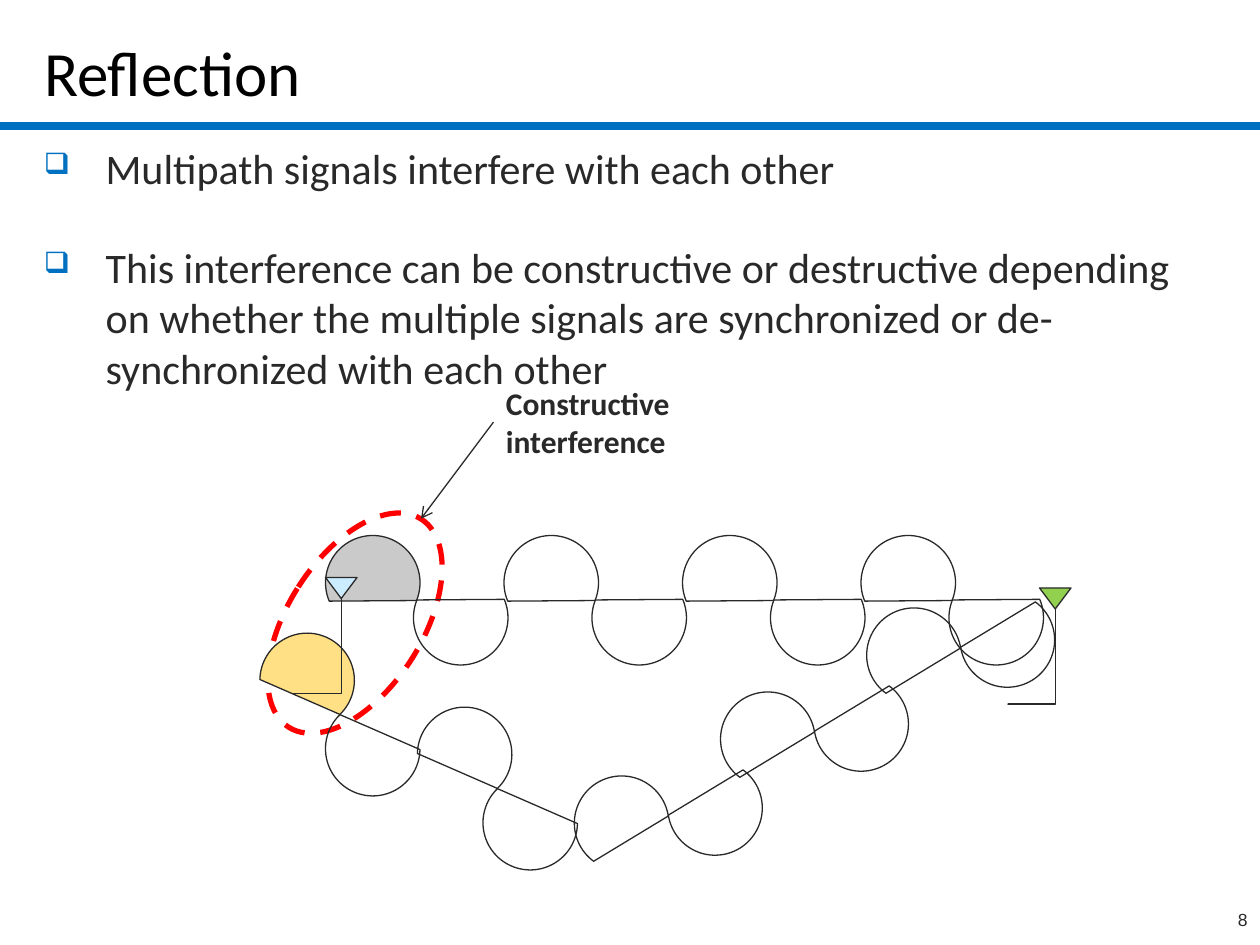
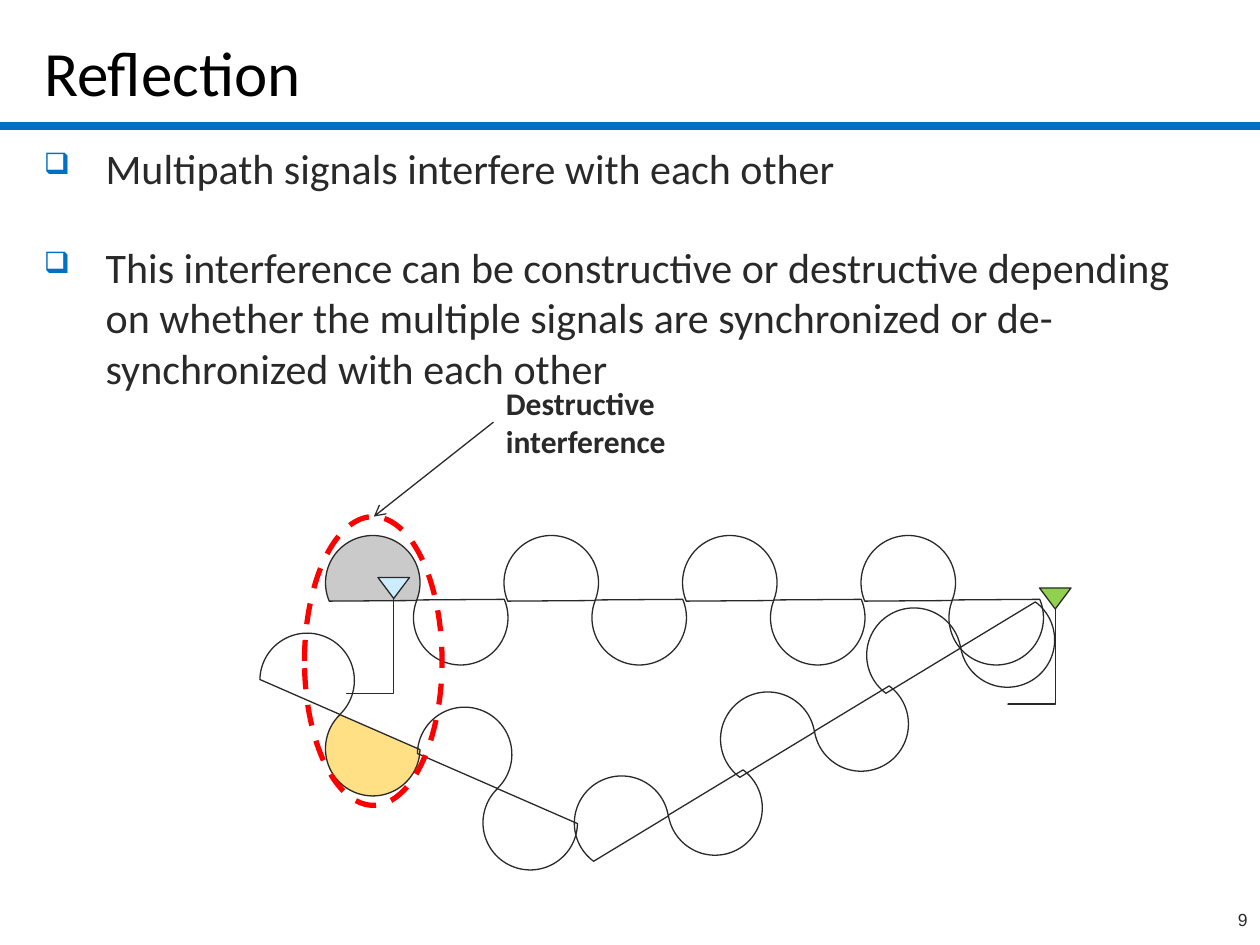
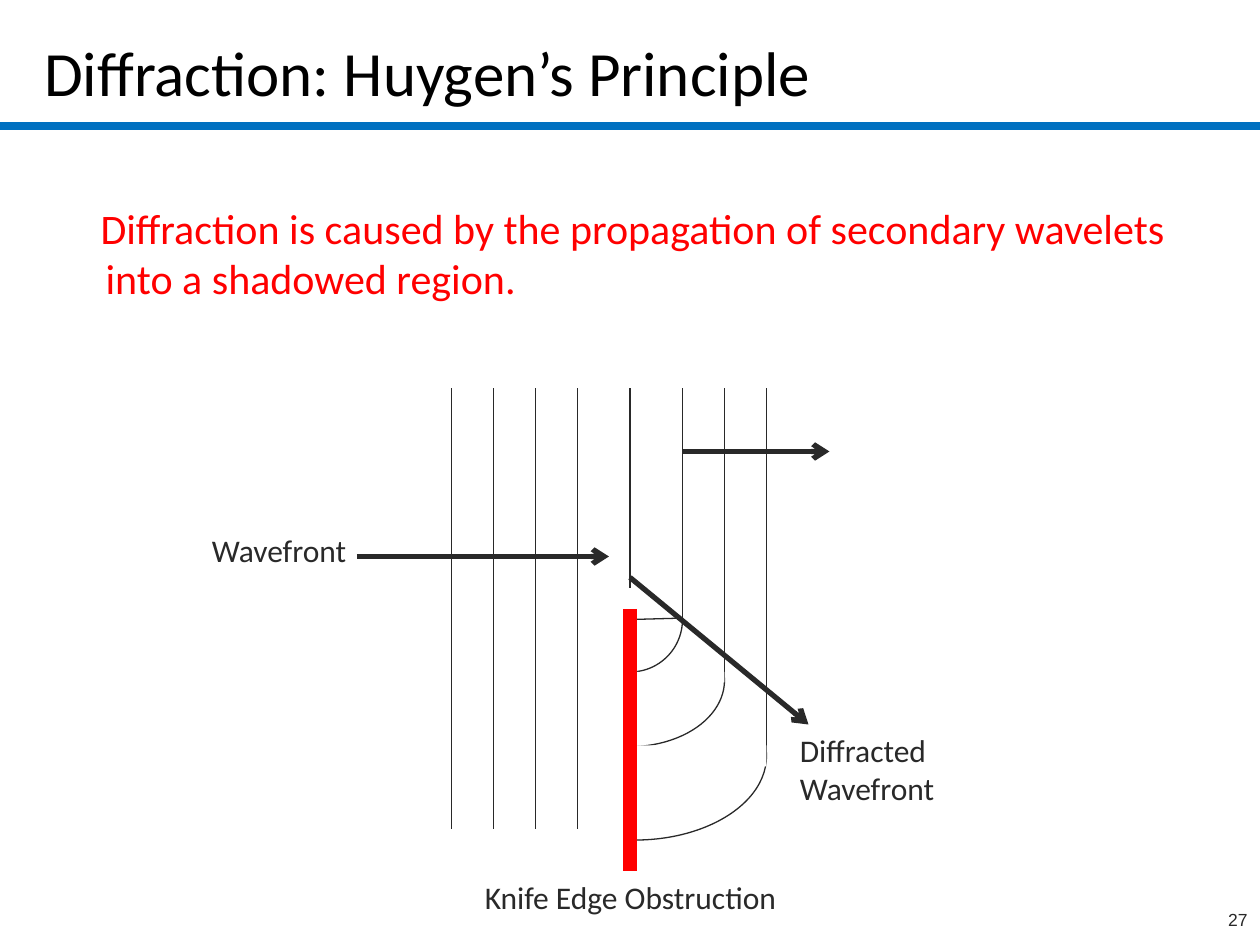
from lxml import etree
from pptx import Presentation
from pptx import util as u
from pptx.dml.color import RGBColor
from pptx.enum import dml, shapes, text
from pptx.oxml import ns

HUES = {
    "ink": "292929", "black": "000000", "blue": "0070C0", "red": "FF0000",
    "white": "FFFFFF", "gray": "CACACA", "gold": "FFE085",
    "sky": "CCECFF", "green": "92D050",
}
COLS, ROWS = 120, 90
CELL = u.Inches(10) / COLS
KIND = shapes.MSO_SHAPE
LINK = shapes.MSO_CONNECTOR

FONTS = {
    "title": {"name": "Calibri", "size": u.Pt(36), "bold": False},
    "body": {"name": "Calibri", "size": u.Pt(24)},
    "note": {"name": "Calibri", "size": u.Pt(18)},
    "bold": {"name": "Calibri", "size": u.Pt(18), "bold": True},
    "page": {"name": "Arial", "size": u.Pt(10)},
}
POINTS = [
    "Multipath signals interfere with each other",
    "This interference can be constructive or destructive depending on whether "
    "the multiple signals are synchronized or de-synchronized with each other",
]
WAVES = {
    "direct": {"spot": (31, 51), "step": (17, 0), "shift": (8.38, 3.33),
               "count": 4, "turn": 112.1},
    "down": {"spot": (24.75, 60.3), "step": (15, 7.05), "shift": (6.25, 6.5),
             "count": 2, "turn": 136.1},
    "up": {"spot": (54.7, 73.9), "step": (13.92, -8), "shift": (8.9, -1.45),
           "count": 3, "turn": 81.3},
}


def grid(*cells):
    return [u.Emu(round(c * CELL)) for c in cells]


def tint(hue):
    return RGBColor.from_string(HUES[hue])


def style(obj, form):
    for key, value in form.items():
        setattr(obj, key, value)


def add(node, tag, **atts):
    return etree.SubElement(node, ns.qn(tag), atts)


def stroke(line, hue="ink", width=0.75):
    line.color.rgb = tint(hue)
    line.width = u.Pt(width)


def write(frame, lines, font, hue="ink", **form):
    frame.word_wrap = True
    for i, line in enumerate(lines):
        para = frame.paragraphs[0] if i == 0 else frame.add_paragraph()
        style(para, form)
        run = para.add_run()
        run.text = line
        style(run.font, FONTS[font])
        run.font.color.rgb = tint(hue)
    return frame.paragraphs


def label(slide, box, lines, font="note", hue="ink", **form):
    frame = slide.shapes.add_textbox(*grid(*box)).text_frame
    return write(frame, lines, font, hue, **form)


def indent(para, first):
    prop = para._p.get_or_add_pPr()
    prop.set("marL", str(u.Inches(0.49)))
    prop.set("indent", str(u.Inches(first)))
    return prop


def bullet(para):
    prop = indent(para, -0.49)
    add(add(prop, "a:buClr"), "a:srgbClr", val=HUES["blue"])
    add(prop, "a:buSzPct", val="70000")
    add(prop, "a:buChar", char="❑")


def draw(slide, kind, box, fill=None, line="ink", width=0.75, turn=0):
    shape = slide.shapes.add_shape(kind, *grid(*box))
    shape.shadow.inherit = False
    shape.rotation = turn
    if fill:
        shape.fill.solid()
        shape.fill.fore_color.rgb = tint(fill)
    else:
        shape.fill.background()
    if line:
        stroke(shape.line, line, width)
    else:
        shape.line.fill.background()
    return shape


def link(slide, start, end, hue="ink", width=0.75, arrow=False, kind=LINK.STRAIGHT):
    wire = slide.shapes.add_connector(kind, *grid(*start, *end))
    stroke(wire.line, hue, width)
    if arrow:
        add(wire.line._ln, "a:tailEnd", type="arrow")
    add(wire._element.spPr, "a:effectLst")
    return wire


def base(deck, title, page):
    slide = deck.slides.add_slide(deck.slide_layouts[5])
    link(slide, (0, 12), (COLS, 12), "blue", 5)
    head = slide.shapes.title
    style(head, dict(zip(("left", "top", "width", "height"),
                         grid(3, 1.3, COLS - 6, 9.7))))
    head.text_frame.vertical_anchor = text.MSO_ANCHOR.BOTTOM
    write(head.text_frame, [title], "title", "black", alignment=text.PP_ALIGN.LEFT)
    label(slide, (95, ROWS - 4, 25, 4), [str(page)], "page",
          alignment=text.PP_ALIGN.RIGHT)
    return slide


def wave(slide, spot, step, shift, count, turn, fills=()):
    for i in range(count):
        x, y = (s + i * d for s, d in zip(spot, step))
        for half in range(2):
            box = (x + half * shift[0], y + half * shift[1], 9, 9)
            fill = fills[half] if fills and i == 0 else None
            draw(slide, KIND.CHORD, box, fill, turn=turn + 180 * half)


def mast(slide, x, y, fill):
    draw(slide, KIND.FLOWCHART_MERGE, (x, y, 3, 2), fill)
    long, wide = 9, 4.5
    left = x + 1.5 - wide / 2 - long / 2
    top = y + 2 + long / 2 - wide / 2
    wire = link(slide, (left, top), (left + long, top + wide), kind=LINK.ELBOW)
    spec = wire._element.spPr
    spec.find(ns.qn("a:xfrm")).set("rot", "5400000")
    geom = spec.find(ns.qn("a:prstGeom"))
    guides = geom.find(ns.qn("a:avLst"))
    if guides is None:
        guides = add(geom, "a:avLst")
    add(guides, "a:gd", name="adj1", fmla="val 100500")


def reflect(deck, page, name, ring, turn, tip, phone, fills, behind):
    slide = base(deck, "Reflection", page)
    paras = label(slide, (3, 13, 113, 33), POINTS, "body", space_before=u.Pt(4.8))
    paras[1].space_before = u.Pt(27.5)
    for para in paras:
        bullet(para)

    def mark():
        shape = draw(slide, KIND.OVAL, ring, line="red", width=3, turn=turn)
        shape.line.dash_style = dml.MSO_LINE.DASH
        label(slide, (47, 36, 20, 8.5), [f"{name} interference"], "bold")
        link(slide, (47, 40.2), tip, arrow=True)

    if behind:
        mark()
    wave(slide, **WAVES["direct"], fills=("gray", None))
    wave(slide, **WAVES["up"])
    wave(slide, **WAVES["down"], fills=fills)
    if not behind:
        mark()
    mast(slide, phone, 55, "sky")
    mast(slide, 99, 56, "green")


def fronts(slide, top):
    for x in range(43, 56, 4):
        link(slide, (x, top), (x, top + 42))
    for x, drop in ((60, 19), (65, 22), (69, 27.7), (73, 35)):
        link(slide, (x, top), (x, top + drop))
    for box in ((55, 54, 10, 10), (51, 58.5, 18, 12.6), (48, 64, 25, 16)):
        pie = draw(slide, KIND.PIE, box, turn=180)
        pie.adjustments[0] = 107.06
        pie.adjustments[1] = 162
    for box in ((60, 64, 9, 1), (60, 71, 13, 2)):
        draw(slide, KIND.RECTANGLE, box, "white", line=None)


def diffract(deck, page):
    slide = base(deck, "Diffraction: Huygen’s Principle", page)
    paras = label(slide, (3, 18.7, 113, 13.3),
                  ["Diffraction is caused by the propagation of secondary "
                   "wavelets into a shadowed region."],
                  "body", "red", space_before=u.Pt(4.8))
    indent(paras[0], -0.04)
    fronts(slide, 37)
    link(slide, (60, 58), (60, 83), "red", 8)
    for start, end in (((34, 53), (58, 53)), ((65, 43), (79, 43)),
                       ((60, 55), (77, 69))):
        link(slide, start, end, width=3, arrow=True)
    for box, line in (((45, 83, 31, 4.8), "Knife Edge Obstruction"),
                      ((19, 50, 21, 4.8), "Wavefront"),
                      ((75, 69, 21, 8.5), "Diffracted Wavefront")):
        label(slide, box, [line])


def main():
    deck = Presentation()
    deck.slide_width, deck.slide_height = grid(COLS, ROWS)
    reflect(deck, 8, "Constructive", (27.4, 47.6, 12.8, 23.5), 32.5,
            (40.1, 49.4), 31, ("gold", None), True)
    reflect(deck, 9, "Destructive", (29, 49.2, 13.1, 27.5), 0,
            (35.6, 49.2), 36, (None, "gold"), False)
    diffract(deck, 27)
    deck.save("out.pptx")


if __name__ == "__main__":
    main()
